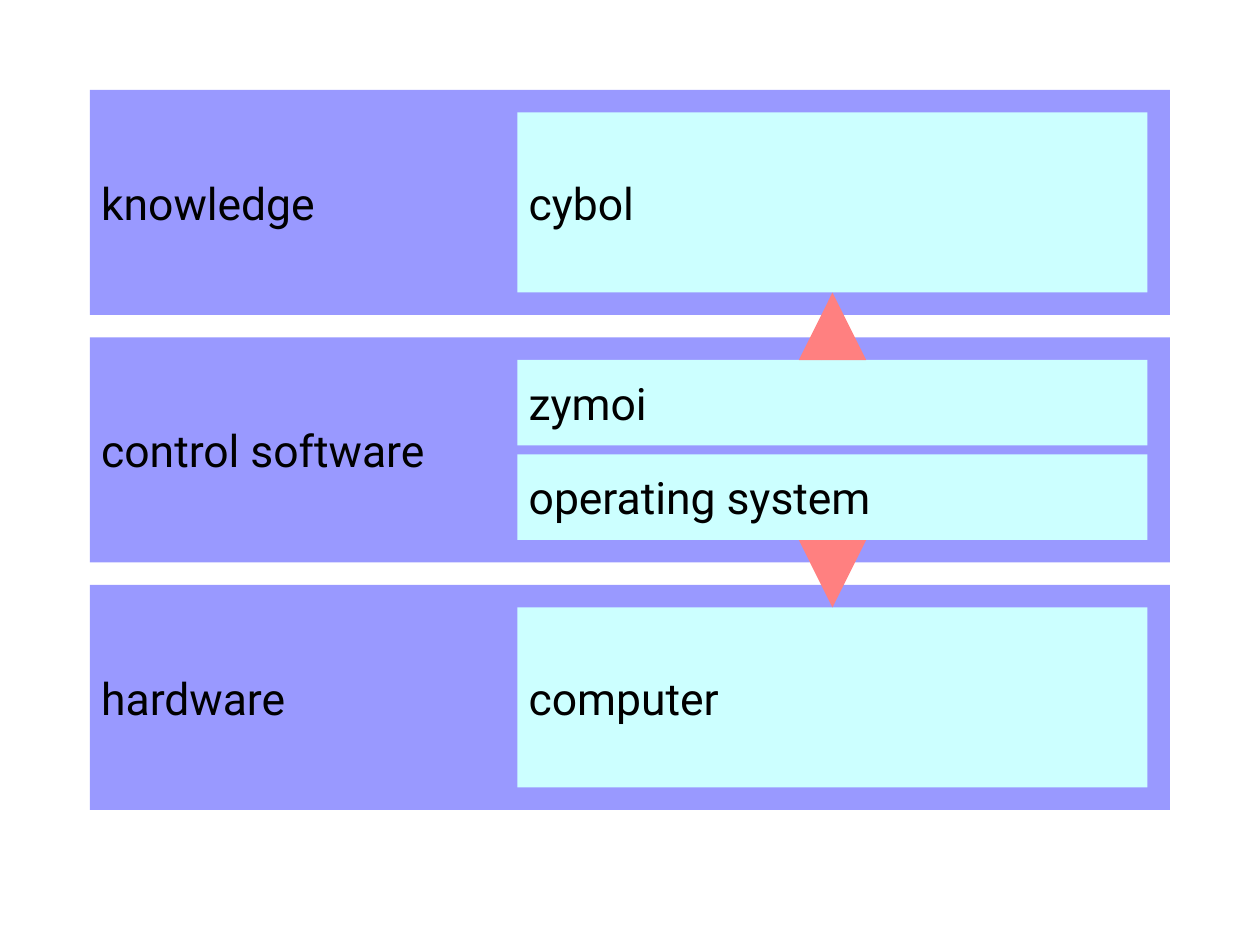
from lxml.etree import SubElement
from pptx import Presentation
from pptx.dml.color import RGBColor
from pptx.enum.shapes import MSO_CONNECTOR, MSO_SHAPE
from pptx.enum.text import MSO_ANCHOR, PP_ALIGN
from pptx.oxml.ns import qn
from pptx.util import Cm, Pt

LAYER_BLUE = RGBColor(0x99, 0x99, 0xFF)
PART_CYAN = RGBColor(0xCC, 0xFF, 0xFF)
ARROW_RED = RGBColor(0xFF, 0x80, 0x80)
BLACK = RGBColor(0, 0, 0)
COLUMNS, ROWS = 56, 42
LAYER_TOP, LAYER_HEIGHT, LAYER_GAP = 4, 10, 1
PART_LEFT, PART_WIDTH, PART_MARGIN, PART_GAP = 23, 28, 1, 0.4
LAYERS = [
    ("knowledge", ["cybol"]),
    ("control software", ["zymoi", "operating system"]),
    ("hardware", ["computer"]),
]


class LayerDiagram:
    """Draws labelled boxes and arrows on a grid of half-centimetre cells."""

    font_name = "Roboto"
    font_size = Pt(28)
    cell = Cm(0.5)

    def __init__(self, deck):
        deck.slide_width = self.length(COLUMNS)
        deck.slide_height = self.length(ROWS)
        self.page = deck.slides.add_slide(deck.slide_layouts[6])

    def length(self, cells):
        return round(cells * self.cell)

    def box(self, text, column, row, width, height, colour):
        frame = [self.length(cells) for cells in (column, row, width, height)]
        box = self.page.shapes.add_shape(MSO_SHAPE.RECTANGLE, *frame)
        box.shadow.inherit = False
        box.fill.solid()
        box.fill.fore_color.rgb = colour
        box.line.fill.background()
        body = box.text_frame
        body.word_wrap = True
        body.vertical_anchor = MSO_ANCHOR.MIDDLE
        body.margin_left = self.length(0.5)
        body.margin_right = body.margin_top = body.margin_bottom = 0
        para = body.paragraphs[0]
        para.alignment = PP_ALIGN.LEFT
        span = para.add_run()
        span.text = text
        span.font.name = self.font_name
        span.font.size = self.font_size
        span.font.color.rgb = BLACK

    def arrow(self, column, start_row, end_row):
        ends = [self.length(cells) for cells in (column, start_row, column, end_row)]
        arrow = self.page.shapes.add_connector(MSO_CONNECTOR.STRAIGHT, *ends)
        arrow.line.color.rgb = ARROW_RED
        arrow.line.width = self.cell
        outline = arrow._element.spPr.find(qn("a:ln"))
        SubElement(outline, qn("a:tailEnd"), type="triangle")
        SubElement(arrow._element.spPr, qn("a:effectLst"))


def main():
    deck = Presentation()
    diagram = LayerDiagram(deck)
    tops = [LAYER_TOP + index * (LAYER_HEIGHT + LAYER_GAP) for index in range(len(LAYERS))]
    for top, (layer, parts) in zip(tops, LAYERS):
        diagram.box(layer, 4, top, 48, LAYER_HEIGHT, LAYER_BLUE)
        inner = LAYER_HEIGHT - 2 * PART_MARGIN
        height = (inner - PART_GAP * (len(parts) - 1)) / len(parts)
        for index, part in enumerate(parts):
            row = top + PART_MARGIN + index * (height + PART_GAP)
            diagram.box(part, PART_LEFT, row, PART_WIDTH, height, PART_CYAN)
    centre = PART_LEFT + PART_WIDTH / 2
    reach = 2 * PART_MARGIN + LAYER_GAP
    upper = tops[1] + PART_MARGIN
    lower = tops[1] + LAYER_HEIGHT - PART_MARGIN
    diagram.arrow(centre, lower, lower + reach)
    diagram.arrow(centre, upper, upper - reach)
    deck.save("out.pptx")


if __name__ == "__main__":
    main()
